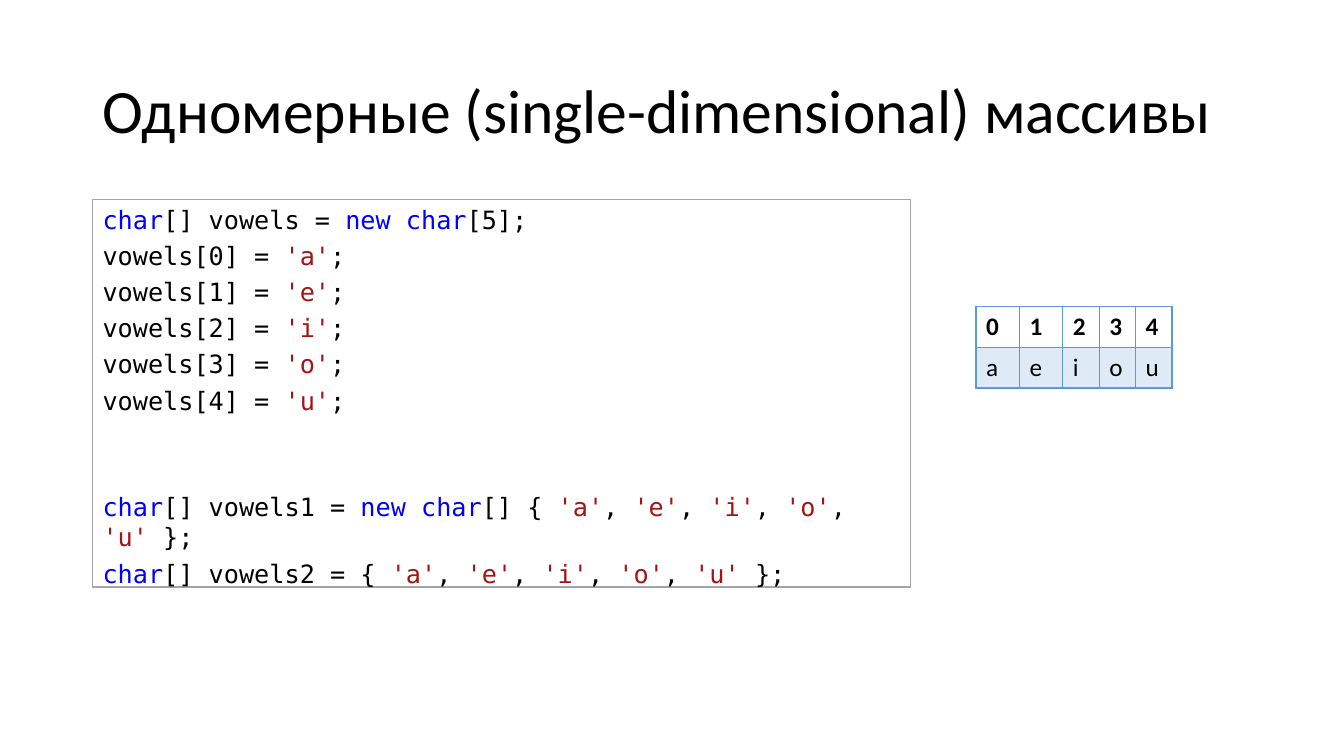
from lxml import etree
from pptx import Presentation
from pptx.dml.color import RGBColor
from pptx.enum import shapes, text
from pptx.oxml import ns
from pptx.util import Pt

TITLE = "Одномерные (single-dimensional) массивы"
VOWELS = "aeiou"
LITERALS = ", ".join(f"'{v}'" for v in VOWELS)
# Keywords stand between bars.
ALLOCATION = ["|char|[] vowels = |new char|[5];"]
ALLOCATION += [f"vowels[{i}] = '{v}';" for i, v in enumerate(VOWELS)]
INITIALIZERS = [
    f"|char|[] vowels1 = |new char|[] {{ {LITERALS} }};",
    f"|char|[] vowels2 = {{ {LITERALS} }};",
]


def rgb(value):
    return RGBColor.from_string(value)


def add_text(p, content, font="Calibri", size=18, color="000000", bold=False):
    r = p.add_run()
    r.text = content
    r.font.name = font
    r.font.size = Pt(size)
    r.font.bold = bold
    r.font.color.rgb = rgb(color)


def code_runs(line):
    """Yield each piece of a code line with its kind."""
    for i, part in enumerate(line.split("|")):
        if i % 2:
            yield part, "keyword"
            continue
        for j, piece in enumerate(part.split("'")):
            if j % 2:
                yield f"'{piece}'", "literal"
            elif piece:
                yield piece, "plain"


class ArraySlide:
    code_font = "DejaVu Sans Mono"
    code_colors = {"keyword": "0000FF", "literal": "A31515", "plain": "000000"}
    frame = "A5A5A5"
    grid = "5B9BD5"
    band = "DEEBF7"

    def __init__(self, prs):
        self.s = prs.slides.add_slide(prs.slide_layouts[5])

    def title(self, content, x, y, w, h):
        sp = self.s.shapes.title
        sp.left, sp.top, sp.width, sp.height = Pt(x), Pt(y), Pt(w), Pt(h)
        tf = sp.text_frame
        tf.vertical_anchor = text.MSO_ANCHOR.MIDDLE
        p = tf.paragraphs[0]
        p.alignment = text.PP_ALIGN.LEFT
        p.line_spacing = 0.9
        add_text(p, content, size=44)

    def code(self, blocks, x, y, w, h, gap=4.2, block_gap=54.6):
        sp = self.s.shapes.add_shape(
            shapes.MSO_SHAPE.RECTANGLE, Pt(x), Pt(y), Pt(w), Pt(h))
        sp.shadow.inherit = False
        sp.fill.solid()
        sp.fill.fore_color.rgb = rgb("FFFFFF")
        sp.line.color.rgb = rgb(self.frame)
        sp.line.width = Pt(1)
        tf = sp.text_frame
        tf.word_wrap = True
        tf.vertical_anchor = text.MSO_ANCHOR.TOP
        for b, block in enumerate(blocks):
            for i, line in enumerate(block):
                first = b == i == 0
                p = tf.paragraphs[0] if first else tf.add_paragraph()
                p.alignment = text.PP_ALIGN.LEFT
                p.space_before = Pt(0 if first else gap if i else block_gap)
                for piece, kind in code_runs(line):
                    add_text(p, piece, font=self.code_font,
                             color=self.code_colors[kind])

    def borders(self, cell):
        tc_pr = cell._tc.get_or_add_tcPr()
        for side in "LRTB":
            ln = etree.SubElement(tc_pr, ns.qn(f"a:ln{side}"), w=str(Pt(1)))
            fill = etree.SubElement(ln, ns.qn("a:solidFill"))
            etree.SubElement(fill, ns.qn("a:srgbClr"), val=self.grid)

    def table(self, rows, x, y, widths, row_height):
        tbl = self.s.shapes.add_table(
            len(rows), len(widths), Pt(x), Pt(y),
            Pt(sum(widths)), Pt(row_height * len(rows))).table
        for column, width in zip(tbl.columns, widths):
            column.width = Pt(width)
        for i, row in enumerate(rows):
            for j, value in enumerate(row):
                cell = tbl.cell(i, j)
                self.borders(cell)
                if i:
                    cell.fill.solid()
                    cell.fill.fore_color.rgb = rgb(self.band)
                else:
                    cell.fill.background()
                add_text(cell.text_frame.paragraphs[0], value, bold=i == 0)


def main():
    prs = Presentation()
    prs.slide_width, prs.slide_height = Pt(960), Pt(540)
    slide = ArraySlide(prs)
    slide.title(TITLE, 66, 28.75, 828, 104.4)
    slide.code([ALLOCATION, INITIALIZERS], 66.2, 142.4, 584.4, 277)
    indexes = [str(i) for i in range(len(VOWELS))]
    slide.table([indexes, VOWELS], 697.2, 218.8, [31, 31, 26, 26, 26], 29.2)
    prs.save("out.pptx")


if __name__ == "__main__":
    main()
